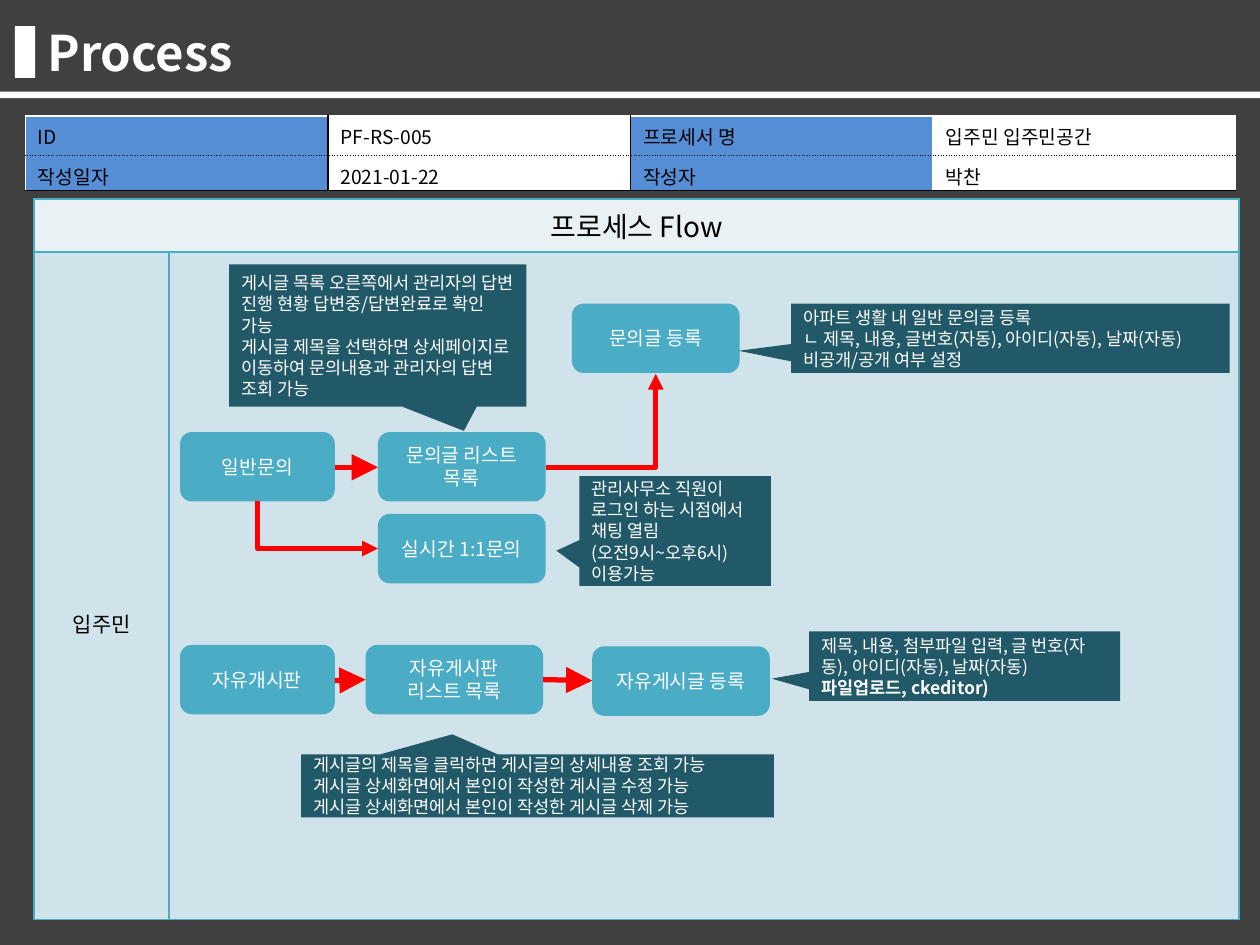
from lxml import etree
from pptx import Presentation
from pptx.dml.color import RGBColor
from pptx.enum.shapes import MSO_CONNECTOR as LINK, MSO_SHAPE as SHAPE
from pptx.enum.text import MSO_ANCHOR as ANCHOR, PP_ALIGN as ALIGN
from pptx.oxml.ns import qn
from pptx.util import Cm, Pt

FONT = "Noto Sans CJK KR"
COLORS = {
    "dark": "404040", "white": "FFFFFF", "black": "000000", "label": "558ED5",
    "step": "4BACC6", "note": "215968", "arrow": "FF0000",
    "heading": "E9F1F5", "lane": "D0E3EA",
}


def write(frame, text, size, color, align=ALIGN.LEFT, bold=False):
    frame.word_wrap = True
    frame.text = text
    for para in frame.paragraphs:
        para.alignment = align
        for span in para.runs:
            span.font.size = Pt(size)
            span.font.bold = bold
            span.font.name = FONT
            span.font.color.rgb = RGBColor.from_string(COLORS[color])
            etree.SubElement(span.font._element, qn("a:ea"), typeface=FONT)


def style_cell(cell, fill, borders):
    cell.fill.solid()
    cell.fill.fore_color.rgb = RGBColor.from_string(COLORS[fill])
    props = cell._tc.get_or_add_tcPr()
    for index, (side, (color, dash)) in enumerate(zip("LRTB", borders)):
        line = etree.Element(qn(f"a:ln{side}"), w=str(Pt(1)))
        paint = etree.SubElement(line, qn("a:solidFill"))
        etree.SubElement(paint, qn("a:srgbClr"), val=COLORS[color])
        etree.SubElement(line, qn("a:prstDash"), val=dash)
        props.insert(index, line)


deck = Presentation()
deck.slide_width, deck.slide_height = Cm(25.4), Cm(19.05)
page = deck.slides.add_slide(deck.slide_layouts[6])

panels = [
    (0, 0, 25.4, 19.05, "dark"),
    (0.3, 0.53, 0.41, 1.04, "white"),
    (0, 1.85, 25.4, 0.13, "white"),
]
for *place, color in panels:
    panel = page.shapes.add_shape(SHAPE.RECTANGLE, *map(Cm, place))
    panel.shadow.inherit = False
    panel.fill.solid()
    panel.fill.fore_color.rgb = RGBColor.from_string(COLORS[color])
    panel.line.fill.background()

title = page.shapes.add_textbox(Cm(0.71), Cm(0.33), Cm(22.81), Cm(1.45))
write(title.text_frame, "Process", 28, "white", bold=True)

flow = page.shapes.add_table(2, 2, Cm(0.69), Cm(4.01), Cm(24.29), Cm(14.53)).table
flow.columns[0].width, flow.columns[1].width = Cm(2.72), Cm(21.57)
flow.rows[0].height, flow.rows[1].height = Cm(1.07), Cm(13.46)
flow.cell(0, 0).merge(flow.cell(0, 1))
for row, fill in enumerate(["heading", "lane"]):
    for column in range(2):
        style_cell(flow.cell(row, column), fill, [("step", "solid")] * 4)
write(flow.cell(0, 0).text_frame, "프로세스 Flow", 16, "black", ALIGN.CENTER)
lane = flow.cell(1, 0)
write(lane.text_frame, "입주민", 12, "black", ALIGN.CENTER)
lane.vertical_anchor = ANCHOR.MIDDLE
lane.margin_top = Cm(1.65)

details = [
    ["ID", "PF-RS-005", "프로세서 명", "입주민 입주민공간"],
    ["작성일자", "2021-01-22", "작성자", "박찬"],
]
edges = ["white", "black", "black", "white", "white"]
levels = [("white", "solid"), ("black", "sysDot"), ("black", "solid")]
info = page.shapes.add_table(2, 4, Cm(0.51), Cm(2.34), Cm(24.4), Cm(1.5)).table
for column in info.columns:
    column.width = Cm(6.1)
info.rows[0].height, info.rows[1].height = Cm(0.79), Cm(0.71)
for row, texts in enumerate(details):
    for column, text in enumerate(texts):
        cell = info.cell(row, column)
        cell.margin_bottom = 0
        write(cell.text_frame, text, 11, "black")
        borders = [(edges[column], "solid"), (edges[column + 1], "solid"),
                   levels[row], levels[row + 1]]
        style_cell(cell, "white" if column % 2 else "label", borders)

steps = [
    (3.63, 8.71, 3.12, "일반문의"),
    (3.63, 13, 3.12, "자유개시판"),
    (7.62, 8.71, 3.38, "문의글 리스트 목록"),
    (11.94, 13.03, 3.58, "자유게시글 등록"),
    (11.53, 6.12, 3.38, "문의글 등록"),
    (7.62, 10.36, 3.38, "실시간 1:1문의"),
    (7.37, 13, 3.58, "자유게시판 리스트 목록"),
]
notes = [
    (15.95, 6.12, 8.84, 1.4, (-0.62, 0.18),
     "아파트 생활 내 일반 문의글 등록\n"
     "ㄴ 제목, 내용, 글번호(자동), 아이디(자동), 날짜(자동) 비공개/공개 여부 설정"),
    (4.62, 5.33, 5.99, 2.87, (0.29, 0.67),
     "게시글 목록 오른쪽에서 관리자의 답변 진행 현황 답변중/답변완료로 확인 가능\n"
     "게시글 제목을 선택하면 상세페이지로 이동하여 문의내용과 관리자의 답변 조회 가능"),
    (11.68, 9.6, 3.86, 2.21, (-0.62, 0.18),
     "관리사무소 직원이 로그인 하는 시점에서 채팅 열림\n(오전9시~오후6시) 이용가능"),
    (16.31, 12.73, 6.27, 1.4, (-0.62, 0.18),
     "제목, 내용, 첨부파일 입력, 글 번호(자동), 아이디(자동), 날짜(자동)\n"
     "파일업로드, ckeditor)"),
    (6.07, 15.21, 9.53, 1.27, (-0.18, -0.82),
     "게시글의 제목을 클릭하면 게시글의 상세내용 조회 가능\n"
     "게시글 상세화면에서 본인이 작성한 게시글 수정 가능\n"
     "게시글 상세화면에서 본인이 작성한 게시글 삭제 가능"),
]
boxes = [(SHAPE.ROUNDED_RECTANGLE, (left, top, width, 1.4), (0.17,), text,
          "step", 11, ALIGN.CENTER) for left, top, width, text in steps]
boxes += [(SHAPE.RECTANGULAR_CALLOUT, place, tip, text, "note", 10, ALIGN.LEFT)
          for *place, tip, text in notes]
for kind, place, adjusts, text, color, size, align in boxes:
    box = page.shapes.add_shape(kind, *map(Cm, place))
    for index, value in enumerate(adjusts):
        box.adjustments[index] = value
    box.shadow.inherit = False
    box.fill.solid()
    box.fill.fore_color.rgb = RGBColor.from_string(COLORS[color])
    box.line.fill.background()
    box.text_frame.vertical_anchor = ANCHOR.MIDDLE
    write(box.text_frame, text, size, "white", align)
    for para in box.text_frame.paragraphs:
        if "ckeditor" in para.text:
            para.runs[0].font.bold = True

arrows = [
    (LINK.STRAIGHT, 6.75, 9.42, 7.62, 9.42, "tailEnd", "lg"),
    (LINK.STRAIGHT, 6.75, 13.72, 7.37, 13.7, "tailEnd", "lg"),
    (LINK.STRAIGHT, 10.95, 13.7, 11.94, 13.72, "tailEnd", "lg"),
    (LINK.ELBOW, 11, 9.42, 13.22, 7.54, "tailEnd", "med"),
    (LINK.ELBOW, 7.62, 11.06, 5.19, 10.11, "headEnd", "med"),
]
for kind, *ends, head, scale in arrows:
    arrow = page.shapes.add_connector(kind, *map(Cm, ends))
    arrow.line.color.rgb = RGBColor.from_string(COLORS["arrow"])
    arrow.line.width = Pt(3)
    props = arrow._element.spPr
    if kind == LINK.ELBOW:
        props.find(qn("a:prstGeom")).set("prst", "bentConnector2")
    etree.SubElement(props.find(qn("a:ln")), qn(f"a:{head}"),
                     type="triangle", w=scale, len=scale)
    etree.SubElement(props, qn("a:effectLst"))

deck.save("out.pptx")
